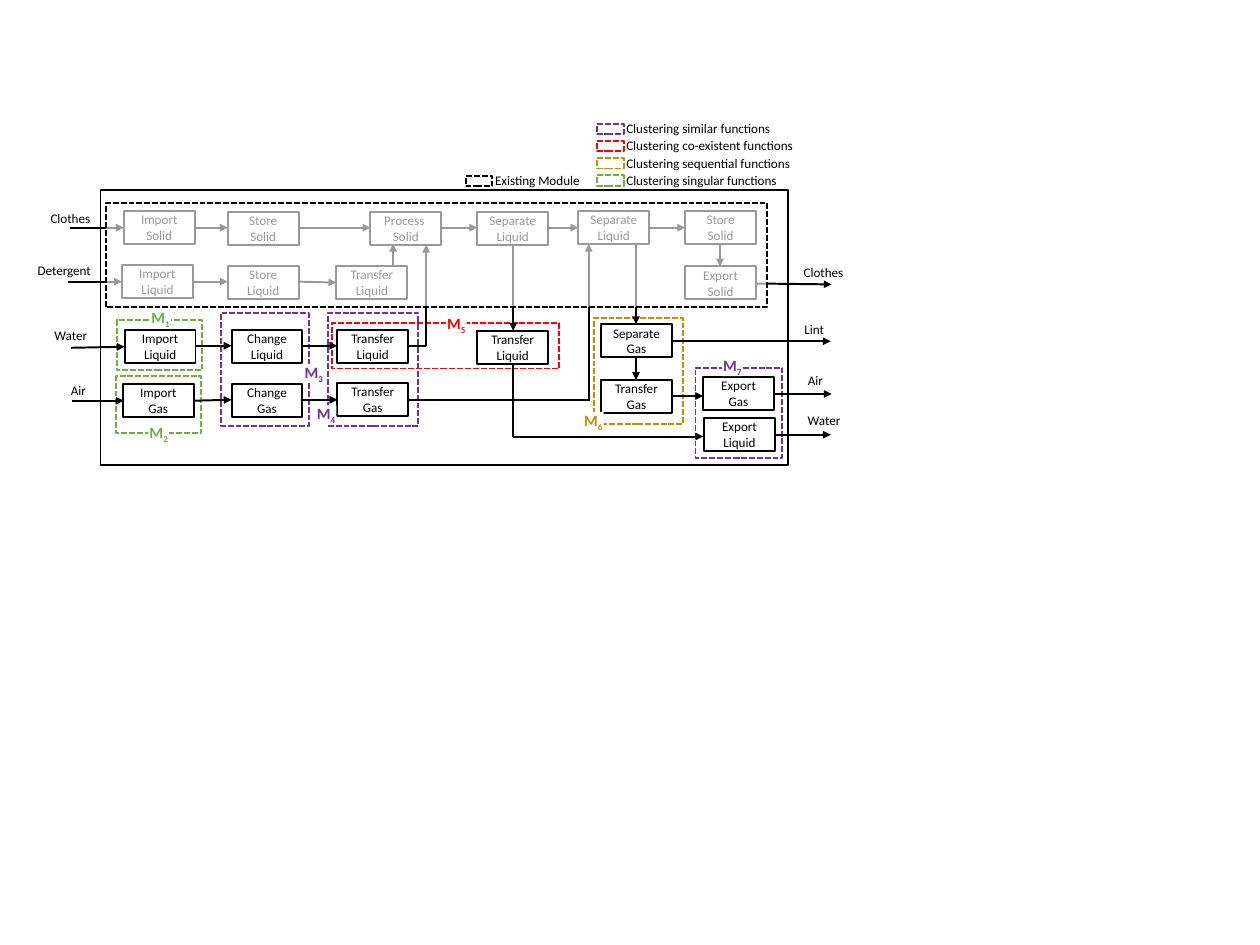
from dataclasses import dataclass

from pptx import Presentation
from pptx import util as u
from pptx.dml.color import RGBColor
from pptx.enum import dml, shapes, text
from pptx.oxml.ns import qn
from lxml import etree


@dataclass(frozen=True)
class Theme:
    font: str = "Calibri"
    body: float = 10
    tag: float = 12
    line: float = 1.5
    thin: float = 1
    ink: str = "000000"
    paper: str = "FFFFFF"
    similar: str = "7030A0"
    coexistent: str = "FF0000"
    sequential: str = "BF9000"
    singular: str = "70AD47"


T = Theme()
BOX_W, BOX_H = 54, 25.2
LABEL_H = 19.4


def add_run(p, txt, size=T.body, color=T.ink, bold=False, baseline=None):
    r = p.add_run()
    r.text = txt
    r.font.name, r.font.size, r.font.bold = T.font, u.Pt(size), bold
    r.font.color.rgb = RGBColor.from_string(color)
    if baseline:
        r._r.get_or_add_rPr().set("baseline", str(baseline))


class Diagram:
    def __init__(self, slide, theme):
        self.s, self.t = slide, theme

    def rect(self, x, y, w, h, color=None, width=None, dash=False, fill=None, alpha=None):
        sp = self.s.shapes.add_shape(shapes.MSO_SHAPE.RECTANGLE, *map(u.Pt, (x, y, w, h)))
        sp.shadow.inherit = False
        if fill:
            sp.fill.solid()
            sp.fill.fore_color.rgb = RGBColor.from_string(fill)
            if alpha:
                clr = sp._element.spPr.find(qn("a:solidFill"))[0]
                etree.SubElement(clr, qn("a:alpha"), val=str(alpha * 1000))
        else:
            sp.fill.background()
        if color:
            sp.line.color.rgb = RGBColor.from_string(color)
            sp.line.width = u.Pt(width or self.t.line)
            if dash:
                sp.line.dash_style = dml.MSO_LINE.SQUARE_DOT
        else:
            sp.line.fill.background()
        return sp

    def frame(self, tf, side, top, wrap=True):
        tf.margin_left = tf.margin_right = u.Pt(side)
        tf.margin_top = tf.margin_bottom = u.Pt(top)
        tf.word_wrap = wrap
        tf.vertical_anchor = text.MSO_ANCHOR.MIDDLE

    def function(self, x, y, *lines):
        tf = self.rect(x, y, BOX_W, BOX_H, self.t.ink).text_frame
        self.frame(tf, 2.2, 2.2)
        for i, line in enumerate(lines):
            p = tf.add_paragraph() if i else tf.paragraphs[0]
            p.alignment = text.PP_ALIGN.CENTER
            add_run(p, line)

    def label(self, x, y, w, txt, align=text.PP_ALIGN.CENTER):
        tf = self.s.shapes.add_textbox(*map(u.Pt, (x, y, w, LABEL_H))).text_frame
        tf.word_wrap = False
        tf.auto_size = text.MSO_AUTO_SIZE.SHAPE_TO_FIT_TEXT
        p = tf.paragraphs[0]
        p.alignment = align
        add_run(p, txt)

    def module(self, x, y, number, color):
        tf = self.rect(x, y, 15.8, 14.4, fill=self.t.paper).text_frame
        self.frame(tf, 0.7, 0, wrap=False)
        tf.auto_size = text.MSO_AUTO_SIZE.SHAPE_TO_FIT_TEXT
        p = tf.paragraphs[0]
        p.alignment = text.PP_ALIGN.CENTER
        add_run(p, "M", size=self.t.tag, color=color, bold=True)
        add_run(p, number, size=self.t.tag, color=color, bold=True, baseline=-25000)

    def flow(self, x1, y1, x2, y2, arrow=True):
        c = self.s.shapes.add_connector(shapes.MSO_CONNECTOR.STRAIGHT, *map(u.Pt, (x1, y1, x2, y2)))
        c.line.color.rgb = RGBColor.from_string(self.t.ink)
        c.line.width = u.Pt(self.t.line)
        if arrow:
            etree.SubElement(c.line._get_or_add_ln(), qn("a:tailEnd"), type="triangle")
        etree.SubElement(c._element.spPr, qn("a:effectLst"))

    def legend(self, x, y, w, txt, color):
        self.rect(x, y, 20.2, 7.9, color, dash=True)
        self.label(x + 15.1, y - 5.9, w, txt, text.PP_ALIGN.LEFT)


CLUSTERS = [
    (249.8, 238.3, 69.1, 86.4, T.similar),
    (168.5, 238.3, 67, 86.4, T.similar),
    (89.3, 244.1, 64.8, 38.2, T.singular),
    (88.6, 286.6, 64.8, 43.2, T.singular),
    (452.2, 242.6, 68.4, 80.6, T.sequential),
    (529.9, 280.1, 66.2, 69.1, T.similar),
    (252.7, 246.2, 173.5, 34.6, T.coexistent),
]
FUNCTIONS = [
    (94.3, 160.6, "Import", "Solid"), (173.5, 161.3, "Store", "Solid"),
    (282.2, 161.3, "Process ", "Solid"), (363.6, 161.3, "Separate Liquid"),
    (440.6, 160.6, "Separate Liquid"), (522, 160.6, "Store", "Solid"),
    (92.9, 201.6, "Import", "Liquid"), (173.5, 202.3, "Store", "Liquid"),
    (256.3, 202.3, "Transfer", "Liquid"), (522, 203, "Export", "Solid"),
    (95, 251.3, "Import", "Liquid"), (176.4, 251.3, "Change", "Liquid"),
    (257, 251.3, "Transfer", "Liquid"), (363.6, 252, "Transfer Liquid"),
    (457.9, 247, "Separate", "Gas"), (93.6, 292.3, "Import", "Gas"),
    (176.4, 292.3, "Change", "Gas"), (257, 291.6, "Transfer", "Gas"),
    (457.9, 289.4, "Transfer", "Gas"), (535.7, 287.3, "Export", "Gas"),
    (536.4, 318.2, "Export", "Liquid"),
]
ARROWS = [
    (53.3, 173.5, 94.3, 173.5), (148.3, 173.5, 173.5, 173.5),
    (227.5, 173.5, 282.2, 173.5), (336.2, 173.5, 363.6, 173.5),
    (417.6, 173.5, 440.6, 173.5), (494.6, 173.5, 522, 173.5),
    (51.8, 214.6, 92.9, 214.6), (146.9, 214.6, 173.5, 214.6),
    (227.5, 214.6, 256.3, 215.3), (576, 216, 633.6, 216.7),
    (54, 265, 95, 264.2), (149, 263.5, 176.4, 263.5),
    (230.4, 263.5, 257, 263.5), (511.9, 260, 632.9, 260),
    (54.7, 305.3, 94.3, 305.3), (147.6, 305.3, 176.4, 304.6),
    (230.4, 304.6, 257, 304.6), (511.9, 301.7, 535.7, 301.7),
    (589.7, 300.2, 633.6, 300.2), (590.4, 331.2, 632.9, 331.2),
    (391, 332.6, 535.7, 332.6), (299.5, 201.6, 299.5, 185.8),
    (324.7, 263.5, 324.7, 186.5), (391, 186.5, 391, 252),
    (448.6, 305.3, 448.6, 185.8), (484.6, 185, 484.6, 247),
    (484.6, 272.2, 484.6, 289.4), (548.6, 185.8, 548.6, 203),
]
STEMS = [
    (324.7, 263.5, 311, 263.5),
    (448.6, 304.6, 311, 304.6),
    (391, 332.6, 391, 277.2),
]
LABELS = [
    (31, 157, 47.5, "Clothes "), (20.9, 196.6, 58.3, "Detergent "),
    (33.8, 246.2, 40.3, "Water"), (46.8, 288, 25.9, "Air"),
    (604.8, 198, 47.5, "Clothes "), (605.5, 241.2, 29.5, "Lint"),
    (608.4, 280.1, 25.9, "Air"), (607.7, 311, 40.3, "Water"),
]
LEGEND = [
    (141.1, "Clustering similar functions", T.similar),
    (144, "Clustering co-existent functions", T.coexistent),
    (141.1, "Clustering sequential functions", T.sequential),
    (130.3, "Clustering singular functions", T.singular),
]
MODULES = [
    (114.5, 235.4, "1", T.singular), (113, 323.3, "2", T.singular),
    (231.1, 277.2, "3", T.similar), (240.5, 308.9, "4", T.similar),
    (339.8, 239.8, "5", T.coexistent), (444.2, 313.9, "6", T.sequential),
    (550.1, 272.2, "7", T.similar),
]


def main():
    prs = Presentation()
    prs.slide_width, prs.slide_height = u.Pt(960), u.Pt(720)
    d = Diagram(prs.slides.add_slide(prs.slide_layouts[6]), T)
    for *box, color in CLUSTERS:
        d.rect(*box, color, dash=True)
    for function in FUNCTIONS:
        d.function(*function)
    for arrow in ARROWS:
        d.flow(*arrow)
    for stem in STEMS:
        d.flow(*stem, arrow=False)
    d.rect(80.6, 154.8, 504, 79.2, T.ink, dash=True, fill=T.paper, alpha=60)
    d.rect(76.3, 144.7, 524.2, 209.5, T.ink, T.thin)
    for label in LABELS:
        d.label(*label)
    for i, (w, txt, color) in enumerate(LEGEND):
        d.legend(455, 94.3 + 13.1 * i, w, txt, color)
    d.legend(355, 133.9, 79.9, "Existing Module", T.ink)
    for module in MODULES:
        d.module(*module)
    prs.save("out.pptx")


if __name__ == "__main__":
    main()
